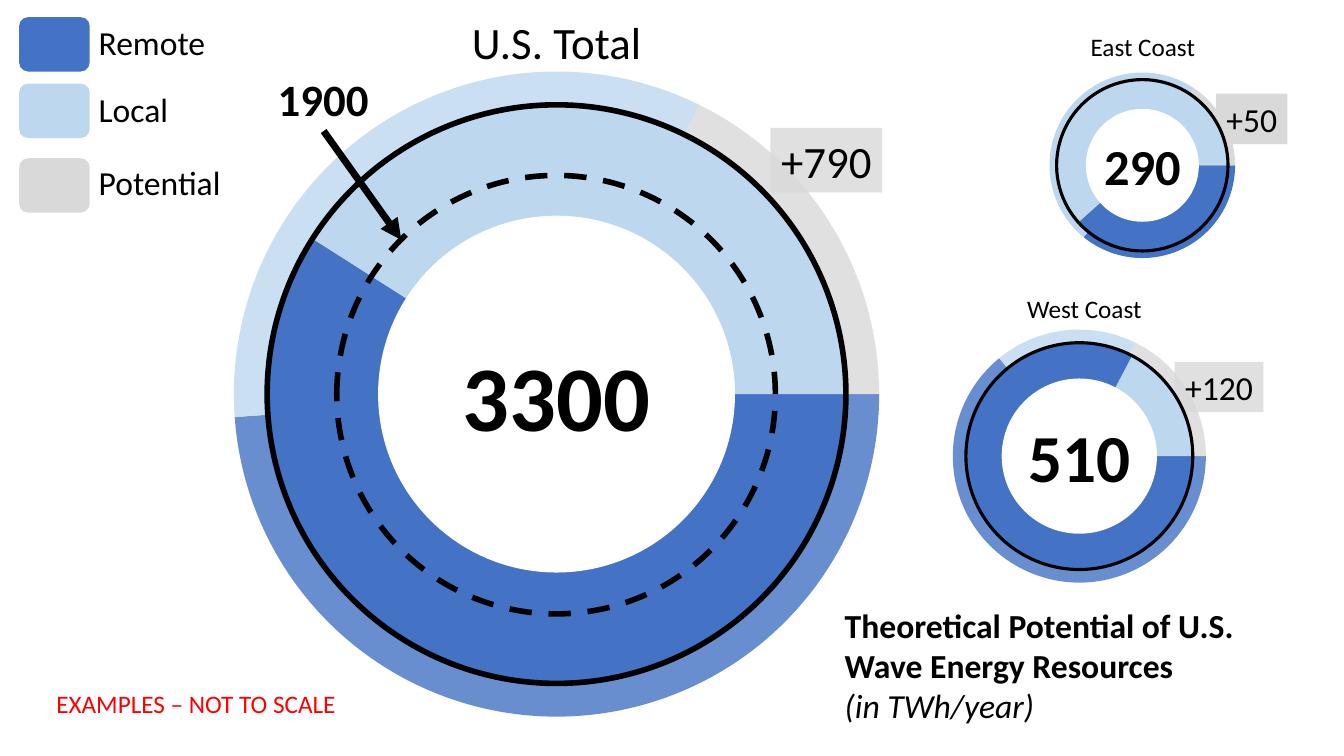
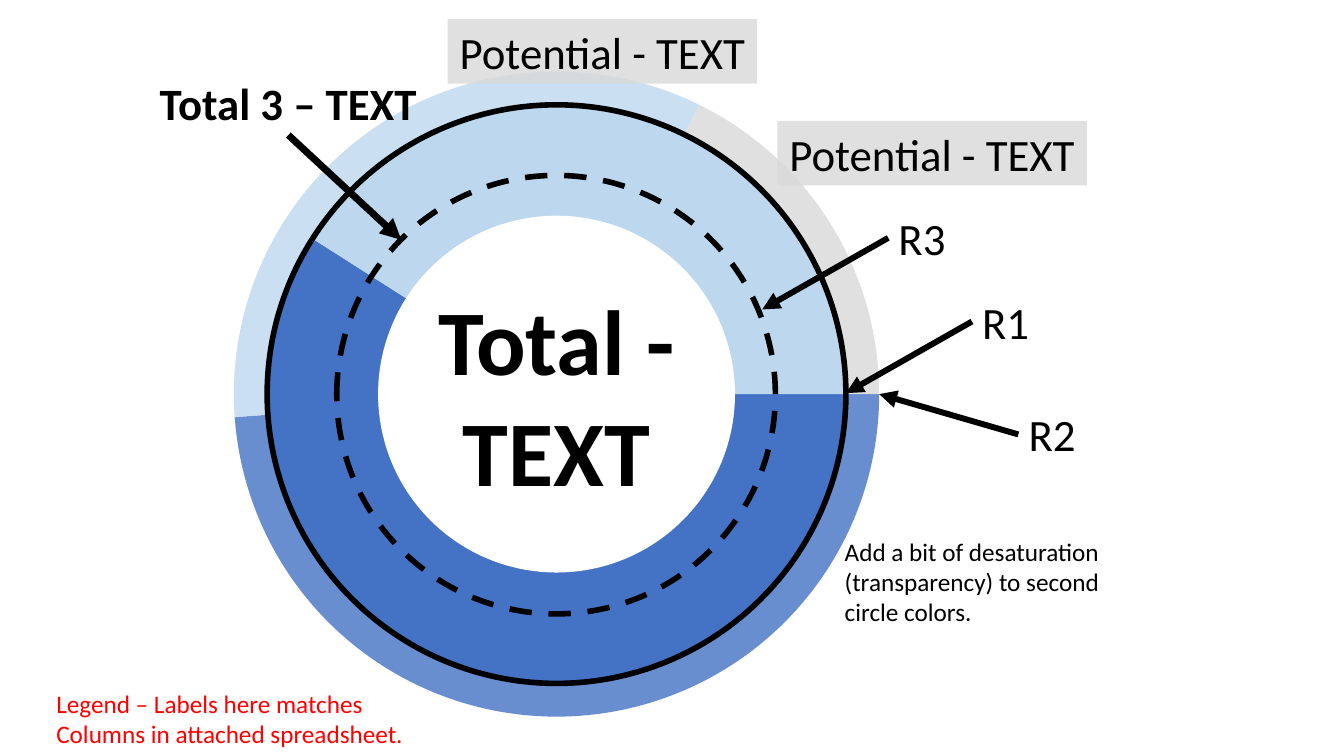
from collections import namedtuple

import lxml.etree
import pptx
import pptx.dml.color
import pptx.enum.dml
import pptx.enum.shapes
import pptx.enum.text
import pptx.oxml.ns
import pptx.util

PX = 9144  # EMU per px, 100 px to the inch
FONT = "Calibri"
RGB = pptx.dml.color.RGBColor
REMOTE = RGB(0x44, 0x72, 0xC4)
LOCAL = RGB(0xBD, 0xD7, 0xEE)
POTENTIAL = RGB(0xD9, 0xD9, 0xD9)
BLACK = RGB(0, 0, 0)
WHITE = RGB(0xFF, 0xFF, 0xFF)
RED = RGB(0xFF, 0, 0)

KIND = pptx.enum.shapes.MSO_SHAPE
ALIGN = pptx.enum.text.PP_ALIGN
qn = pptx.oxml.ns.qn


def add_shape(slide, kind, box, fill=None, opacity=100, outline=0):
    """Add a flat shape; opacity is in percent, outline in points."""
    shape = slide.shapes.add_shape(kind, *[round(v * PX) for v in box])
    shape.shadow.inherit = False
    if fill is None:
        shape.fill.background()
    else:
        shape.fill.solid()
        shape.fill.fore_color.rgb = fill
        if opacity < 100:
            color = shape.element.spPr.find(qn("a:solidFill"))[0]
            lxml.etree.SubElement(color, qn("a:alpha"), val=str(opacity * 1000))
    if outline:
        shape.line.color.rgb = BLACK
        shape.line.width = pptx.util.Pt(outline)
    else:
        shape.line.fill.background()
    return shape


def write(shape, text, size, bold=False, color=BLACK, align=ALIGN.CENTER, wrap=False):
    frame = shape.text_frame
    frame.text = text
    frame.word_wrap = wrap
    for paragraph in frame.paragraphs:
        paragraph.alignment = align
        for run in paragraph.runs:
            run.font.name = FONT
            run.font.size = pptx.util.Pt(size)
            run.font.bold = bold
            run.font.color.rgb = color


# Diameters in px, angles in degrees clockwise from three o'clock.
Ring = namedtuple("Ring", "x y outer inner hole outer_ends inner_end opacity rim size")
US = Ring(552, 391, 640, 574, 354, (175.9, 296.25), 212.5, 80, 4, 66)
WEST = Ring(1070.5, 452.5, 251, 225, 154, (230.7, 296.25), 297.8, 80, 2.25, 48)
EAST = Ring(1133, 164, 184, 170, 112, (129.2, 304.1), 138.3, 100, 2.25, 36)

SLIDES = [
    {
        "rings": [(US, "3300"), (WEST, "510"), (EAST, "290")],
        # box, text, size, opacity
        "badges": [
            ((764, 127, 111, 64), "+790", 32, 80),
            ((1165, 359, 88, 50), "+120", 24, 80),
            ((1206, 93, 71, 50), "+50", 24, 100),
        ],
        # box, text, size, bold
        "captions": [
            ((457, 10, 190, 64), "U.S. Total", 32, False),
            ((1008, 286, 135, 40), "West Coast", 18, False),
            ((1071, 26, 125, 40), "East Coast", 18, False),
            ((265, 66, 111, 64), "1900", 32, True),
        ],
        # box, text, size, color
        "notes": [
            ((88, 17, 131, 50), "Remote", 24, BLACK),
            ((88, 83, 131, 50), "Local", 24, BLACK),
            ((88, 156, 151, 50), "Potential", 24, BLACK),
            ((46, 678, 385, 40), "EXAMPLES – NOT TO SCALE", 18, RED),
        ],
        # top, color
        "swatches": [(17, REMOTE), (83, LOCAL), (157, POTENTIAL)],
        # from x, y, to x, y, width in points
        "arrows": [(321, 130, 398, 238, 5)],
    },
    {
        "rings": [(US, "Total - TEXT")],
        "badges": [
            ((771, 120, 307, 64), "Potential - TEXT", 32, 80),
            ((444, 19, 307, 64), "Potential - TEXT", 32, 80),
        ],
        "captions": [
            ((964, 287, 67, 64), "R1", 32, False),
            ((1010, 399, 67, 64), "R2", 32, False),
            ((881, 204, 67, 64), "R3", 32, False),
            ((147, 70, 278, 64), "Total 3 – TEXT", 32, True),
        ],
        "notes": [
            ((828, 527, 307, 101),
             "Add a bit of desaturation (transparency) to second circle colors.", 18, BLACK),
            ((46, 678, 385, 71),
             "Legend – Labels here matches Columns in attached spreadsheet.", 18, RED),
        ],
        "swatches": [],
        "arrows": [
            (964, 319, 839, 390, 4.25),
            (1010, 431, 872, 391, 4.25),
            (881, 236, 756, 307, 4.25),
            (286, 134, 398, 238, 5),
        ],
    },
]

deck = pptx.Presentation()
deck.slide_width, deck.slide_height = 1333 * PX, 750 * PX

for content in SLIDES:
    slide = deck.slides.add_slide(deck.slide_layouts[6])

    # The first pass draws outer bands, the second inner bands over the badges.
    for band in ("outer", "inner"):
        for ring, total in content["rings"]:
            diameter = getattr(ring, band)
            box = (ring.x - diameter / 2, ring.y - diameter / 2, diameter, diameter)
            if band == "outer":
                bounds, opacity = (0, *ring.outer_ends, 360), ring.opacity
            else:
                bounds, opacity = (0, ring.inner_end, 360), 100
            for start, end, color in zip(bounds, bounds[1:], (REMOTE, LOCAL, POTENTIAL)):
                sector = add_shape(slide, KIND.PIE, box, color, opacity)
                sector.adjustments[0] = start * 0.6
                sector.adjustments[1] = end % 360 * 0.6
            if band == "inner":
                add_shape(slide, KIND.OVAL, box, outline=ring.rim)
                hole = add_shape(slide, KIND.OVAL, (ring.x - ring.hole / 2, ring.y - ring.hole / 2,
                                                    ring.hole, ring.hole), WHITE)
                hole.text_frame.margin_left = hole.text_frame.margin_right = 0
                write(hole, total, ring.size, bold=True, wrap=True)
        if band == "outer":
            for box, text, size, opacity in content["badges"]:
                write(add_shape(slide, KIND.RECTANGLE, box, POTENTIAL, opacity), text, size)

    orbit = add_shape(slide, KIND.OVAL, (334, 174, 435, 435), outline=4)
    orbit.line.dash_style = pptx.enum.dml.MSO_LINE.DASH

    for top, color in content["swatches"]:
        add_shape(slide, KIND.ROUNDED_RECTANGLE, (19, top, 70, 54), color)

    for box, text, size, bold in content["captions"]:
        write(slide.shapes.add_textbox(*[v * PX for v in box]), text, size, bold)

    for box, text, size, color in content["notes"]:
        write(slide.shapes.add_textbox(*[v * PX for v in box]), text, size,
              color=color, align=ALIGN.LEFT, wrap=True)

    for *ends, width in content["arrows"]:
        arrow = slide.shapes.add_connector(
            pptx.enum.shapes.MSO_CONNECTOR.STRAIGHT, *[v * PX for v in ends])
        arrow.line.color.rgb = BLACK
        arrow.line.width = pptx.util.Pt(width)
        properties = arrow.element.spPr
        lxml.etree.SubElement(properties.find(qn("a:ln")), qn("a:tailEnd"), type="triangle")
        lxml.etree.SubElement(properties, qn("a:effectLst"))

headline = deck.slides[0].shapes.add_textbox(828 * PX, 595 * PX, 440 * PX, 131 * PX)
write(headline, "Theoretical Potential of U.S. Wave Energy Resources\n(in TWh/year)", 24,
      bold=True, align=ALIGN.LEFT, wrap=True)
unit_font = headline.text_frame.paragraphs[1].runs[0].font
unit_font.bold = False
unit_font.italic = True

deck.save("out.pptx")
